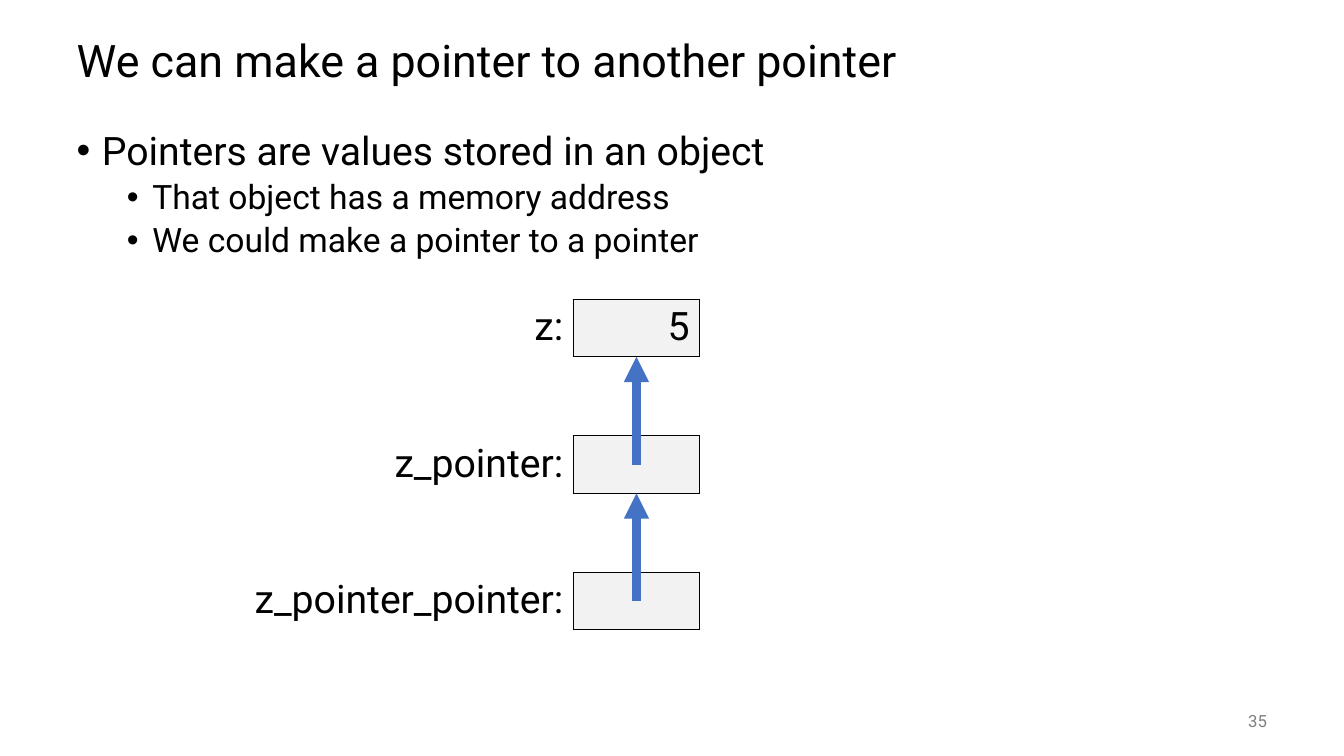
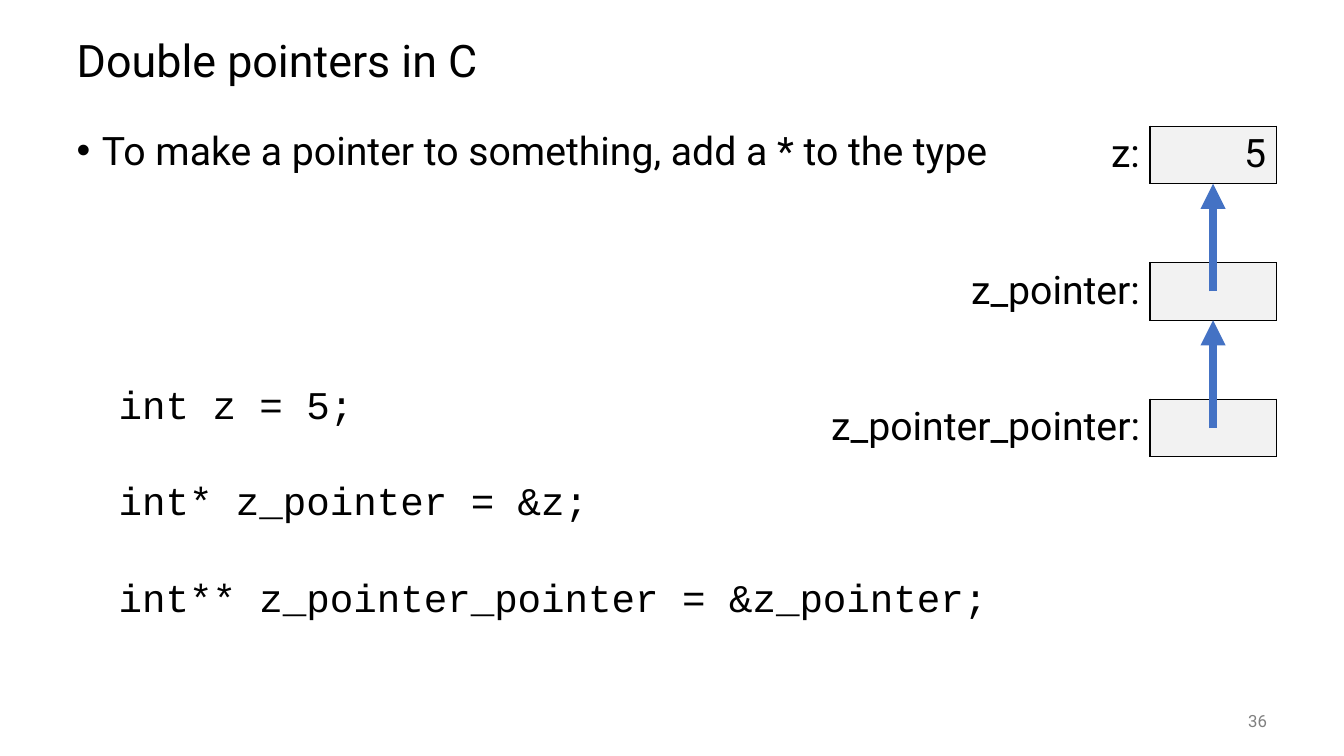
import pptx
import pptx.util
import pptx.dml.color
import pptx.enum.shapes
import pptx.enum.text
import pptx.oxml.ns
import lxml.etree

Cm, Pt = pptx.util.Cm, pptx.util.Pt
RGBColor = pptx.dml.color.RGBColor
ALIGN = pptx.enum.text.PP_ALIGN
ANCHOR = pptx.enum.text.MSO_ANCHOR
qn = pptx.oxml.ns.qn

BLACK = RGBColor(0x00, 0x00, 0x00)
GRAY = RGBColor(0x80, 0x80, 0x80)
CELL_GRAY = RGBColor(0xF2, 0xF2, 0xF2)
ARROW_BLUE = RGBColor(0x44, 0x72, 0xC4)
SANS, MONO = "Roboto", "Courier New"

TITLE_BOX = (1.68, 0.64, 30.48, 1.91)
BODY_BOX = (1.68, 3.18, 30.48, 13.97)
NUMBER_BOX = (29.64, 17.65, 2.54, 1.02)

CELL_W, CELL_H, ROW_PITCH = 3.18, 1.45, 3.44
VARIABLES = [("z:", 3.18, "5"), ("z_pointer:", 8.31, ""), ("z_pointer_pointer:", 9.4, "")]


def add_text(p, text, size=28, font=SANS, color=BLACK, align=ALIGN.LEFT,
             line_spacing=None, before=0, level=None):
    """Write formatted text into a paragraph, bulleted when a level is given."""
    if level is not None:
        pPr = p._p.get_or_add_pPr()
        pPr.set("marL", str(Cm(0.64 + 1.27 * level)))
        pPr.set("indent", str(-Cm(0.64)))
        lxml.etree.SubElement(pPr, qn("a:buFont")).set("typeface", "Arial")
        lxml.etree.SubElement(pPr, qn("a:buChar")).set("char", "•")
        p.level = level
    p.alignment = align
    p.space_before = Pt(before)
    if line_spacing:
        p.line_spacing = line_spacing
    r = p.add_run()
    r.text = text
    r.font.size, r.font.name = Pt(size), font
    r.font.color.rgb = color


def add_paragraphs(tf, items):
    """Fill a text frame with one paragraph per (text, format) pair."""
    for i, (text, fmt) in enumerate(items):
        p = tf.add_paragraph() if i else tf.paragraphs[0]
        add_text(p, text, **fmt)


def add_box(s, box, items, anchor=ANCHOR.TOP):
    """Add a wrapping text box with the given paragraphs."""
    tf = s.shapes.add_textbox(*map(Cm, box)).text_frame
    tf.word_wrap = True
    tf.vertical_anchor = anchor
    add_paragraphs(tf, items)


def add_slide(prs, title, number):
    """Add a slide with its title and page number."""
    s = prs.slides.add_slide(prs.slide_layouts[5])
    sp = s.shapes.title
    sp.left, sp.top, sp.width, sp.height = map(Cm, TITLE_BOX)
    tf = sp.text_frame
    tf.auto_size = pptx.enum.text.MSO_AUTO_SIZE.NONE
    tf.vertical_anchor = ANCHOR.MIDDLE
    add_paragraphs(tf, [(title, dict(size=32, line_spacing=0.9))])
    add_box(s, NUMBER_BOX, [(str(number), dict(size=12, color=GRAY, align=ALIGN.RIGHT))],
            ANCHOR.MIDDLE)
    return s


def add_bullets(s, bullets):
    """Add the body bullets, given as (text, level) pairs."""
    items = []
    for i, (text, level) in enumerate(bullets):
        items.append((text, dict(size=28 - 4 * level, line_spacing=0.9,
                                 before=5 if i else 0, level=level)))
    add_box(s, BODY_BOX, items)


def set_borders(cell, sides):
    """Draw thin black borders on the given sides of a cell."""
    tcPr = cell._tc.get_or_add_tcPr()
    for i, side in enumerate(sides):
        ln = lxml.etree.Element(qn("a:ln" + side), w=str(Pt(1)))
        fill = lxml.etree.SubElement(ln, qn("a:solidFill"))
        lxml.etree.SubElement(fill, qn("a:srgbClr")).set("val", str(BLACK))
        tcPr.insert(i, ln)


def add_variable(s, right, top, label, label_w, value):
    """Add a labelled memory cell whose right edge is given."""
    width = label_w + CELL_W
    table = s.shapes.add_table(1, 2, Cm(right - width), Cm(top), Cm(width), Cm(CELL_H)).table
    table.first_row = table.horz_banding = False
    table.columns[0].width, table.columns[1].width = Cm(label_w), Cm(CELL_W)
    name, memory = table.cell(0, 0), table.cell(0, 1)
    name.fill.background()
    memory.fill.solid()
    memory.fill.fore_color.rgb = CELL_GRAY
    set_borders(name, "R")
    set_borders(memory, "LRTB")
    for cell, text in ((name, label), (memory, value)):
        if text:
            add_text(cell.text_frame.paragraphs[0], text, align=ALIGN.RIGHT)


def add_arrow(s, x, y_from, y_to):
    """Add a thick vertical arrow."""
    c = s.shapes.add_connector(pptx.enum.shapes.MSO_CONNECTOR.STRAIGHT,
                               Cm(x), Cm(y_from), Cm(x), Cm(y_to))
    c.line.width = Pt(6)
    c.line.color.rgb = ARROW_BLUE
    lxml.etree.SubElement(c.line._get_or_add_ln(), qn("a:tailEnd")).set("type", "triangle")
    lxml.etree.SubElement(c._element.spPr, qn("a:effectLst"))


def add_pointer_diagram(s, right, top):
    """Stack the variables, each pointer aiming at the cell above it."""
    for i, (label, label_w, value) in enumerate(VARIABLES):
        y = top + i * ROW_PITCH
        add_variable(s, right, y, label, label_w, value)
        if i:
            add_arrow(s, right - CELL_W / 2, y + CELL_H / 2, y - ROW_PITCH + CELL_H)


def add_code(s, box, lines):
    """Add widely spaced lines of code."""
    add_box(s, box, [(line, dict(font=MONO, before=35.4 if i else 0))
                     for i, line in enumerate(lines)])


def main():
    """Build and save the slides."""
    prs = pptx.Presentation()
    prs.slide_width, prs.slide_height = Cm(33.87), Cm(19.05)

    s = add_slide(prs, "We can make a pointer to another pointer", 35)
    add_bullets(s, [("Pointers are values stored in an object", 0),
                    ("That object has a memory address", 1),
                    ("We could make a pointer to a pointer", 1)])
    add_pointer_diagram(s, 17.63, 7.54)

    s = add_slide(prs, "Double pointers in C", 36)
    add_bullets(s, [("To make a pointer to something, add a * to the type", 0)])
    add_pointer_diagram(s, 32.16, 3.18)
    add_code(s, (2.74, 9.45, 23.06, 6.25),
             ["int z = 5;", "int* z_pointer = &z;", "int** z_pointer_pointer = &z_pointer;"])

    prs.save("out.pptx")


if __name__ == "__main__":
    main()
